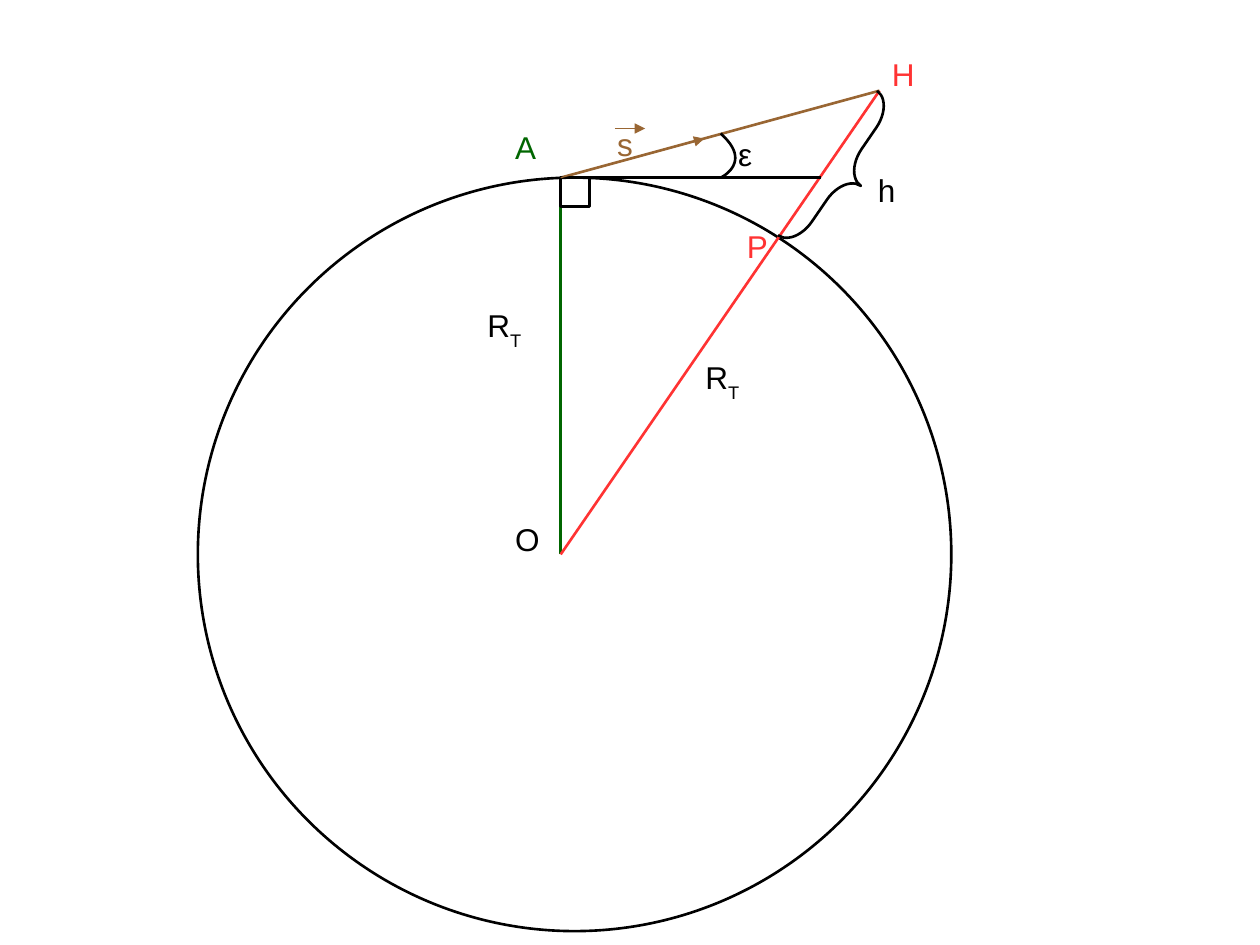
import pptx
import pptx.util
import pptx.dml.color
import pptx.enum.shapes
import pptx.oxml.ns
from lxml import etree

Inches = pptx.util.Inches
RGBColor = pptx.dml.color.RGBColor
MSO_SHAPE = pptx.enum.shapes.MSO_SHAPE
BLACK = RGBColor(0x00, 0x00, 0x00)
GREEN = RGBColor(0x00, 0x66, 0x00)
RED = RGBColor(0xFF, 0x33, 0x33)
BROWN = RGBColor(0x99, 0x66, 0x33)

deck = pptx.Presentation()
deck.slide_width, deck.slide_height = Inches(10), Inches(7.5)
slide = deck.slides.add_slide(deck.slide_layouts[6])
shapes = slide.shapes


def add_label(text, left, top, width, height, color=BLACK, subscript=""):
    """Add a point or length label with an optional subscript."""
    box = shapes.add_textbox(Inches(left), Inches(top), Inches(width), Inches(height))
    box.text_frame.word_wrap = True
    paragraph = box.text_frame.paragraphs[0]
    for part, baseline in ((text, None), (subscript, "-33000")):
        if not part:
            continue
        run = paragraph.add_run()
        run.text = part
        run.font.name = "Arial"
        run.font.size = pptx.util.Pt(18)
        run.font.color.rgb = color
        if baseline:
            run.font._element.set("baseline", baseline)


def add_segment(start, end, color, weight=1.5, arrow=False):
    """Draw a straight segment, with an arrowhead at its end if asked."""
    segment = shapes.add_connector(
        pptx.enum.shapes.MSO_CONNECTOR.STRAIGHT,
        *(Inches(value) for value in start + end))
    segment.line.color.rgb = color
    segment.line.width = pptx.util.Pt(weight)
    qn = pptx.oxml.ns.qn
    if arrow:
        etree.SubElement(segment.line._get_or_add_ln(), qn("a:tailEnd"), type="triangle")
    etree.SubElement(segment._element.spPr, qn("a:effectLst"))


O, A, H = (4.45, 4.4), (4.45, 1.41), (6.98, 0.72)

# Earth, radii and line of sight
earth = shapes.add_shape(MSO_SHAPE.OVAL, Inches(1.57), Inches(1.41), Inches(5.98), Inches(5.98))
add_segment(O, A, GREEN)
add_segment(O, H, RED)
add_segment(A, H, BROWN)
add_segment(A, (6.52, 1.41), BLACK)

# Elevation angle: a cubic curve whose last control point is its end
(x0, y0), (x1, y1), (x2, y2) = (5.72, 1.06), (5.98, 1.29), (5.72, 1.41)
STEPS = 24
arc_points = []
for step in range(STEPS + 1):
    t = step / STEPS
    weights = (1 - t) ** 3, 3 * t * (1 - t) ** 2, 3 * t ** 2 - 2 * t ** 3
    arc_points.append(tuple(
        Inches(sum(w * v for w, v in zip(weights, values)))
        for values in ((x0, x1, x2), (y0, y1, y2))))
arc_builder = shapes.build_freeform(*arc_points[0])
arc_builder.add_line_segments(arc_points[1:], close=False)
elevation_arc = arc_builder.convert_to_shape()

# Right angle and height brace
right_angle = shapes.add_shape(MSO_SHAPE.RECTANGLE, Inches(A[0]), Inches(A[1]), Inches(0.23), Inches(0.23))
height_brace = shapes.add_shape(MSO_SHAPE.RIGHT_BRACE, Inches(6.54), Inches(0.69), Inches(0.32), Inches(1.39))
height_brace.rotation = 34.4
height_brace.adjustments[0] = 0.76

for outline in (earth, elevation_arc, right_angle, height_brace):
    outline.shadow.inherit = False
    outline.fill.background()
    outline.line.color.rgb = BLACK
    outline.line.width = pptx.util.Pt(1.5)

# Direction arrows for the vector s
add_segment(A, (5.59, 1.1), BROWN, 0.75, arrow=True)
add_segment((4.88, 1.02), (5.12, 1.02), BROWN, 0.79, arrow=True)

add_label("O", 3.99, 4.08, 0.8, 0.55)
for left, top in ((3.77, 2.38), (5.5, 2.79)):
    add_label("R", left, top, 0.68, 0.64, subscript="T")
add_label("h", 6.87, 1.31, 0.46, 0.55)
add_label("H", 6.98, 0.39, 0.57, 0.55, color=RED)
add_label("A", 3.99, 0.97, 0.46, 0.55, color=GREEN)
add_label("ε", 5.76, 1.02, 0.46, 0.55)
add_label("s", 4.8, 0.94, 0.55, 0.38, color=BROWN)
add_label("P", 5.83, 1.75, 0.47, 0.38, color=RED)

deck.save("out.pptx")
